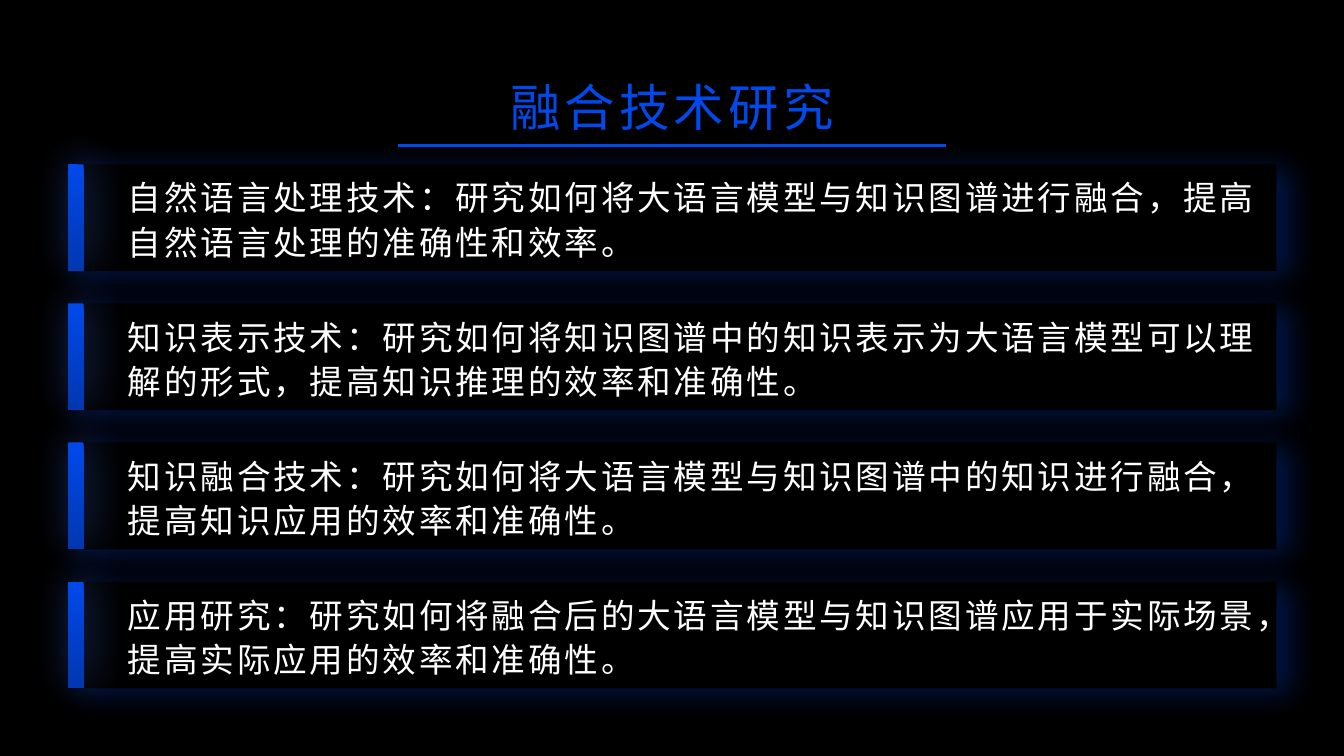
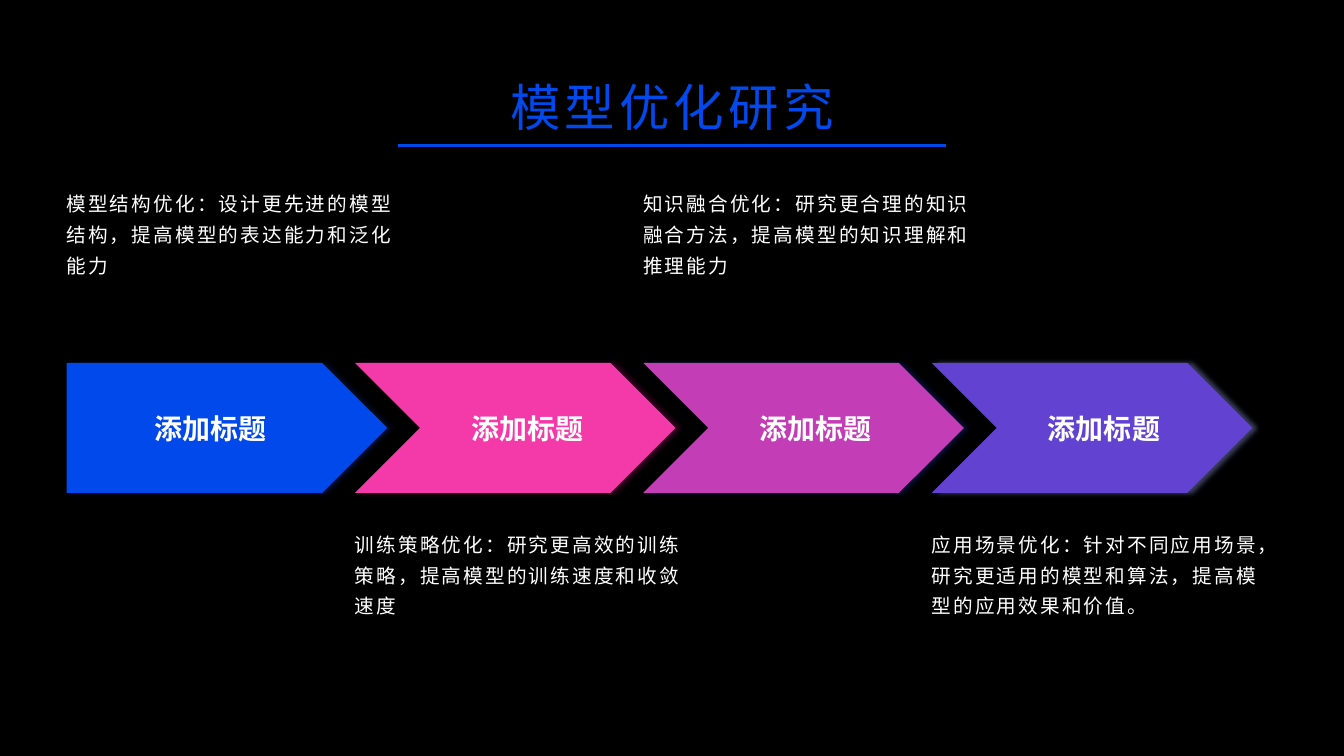
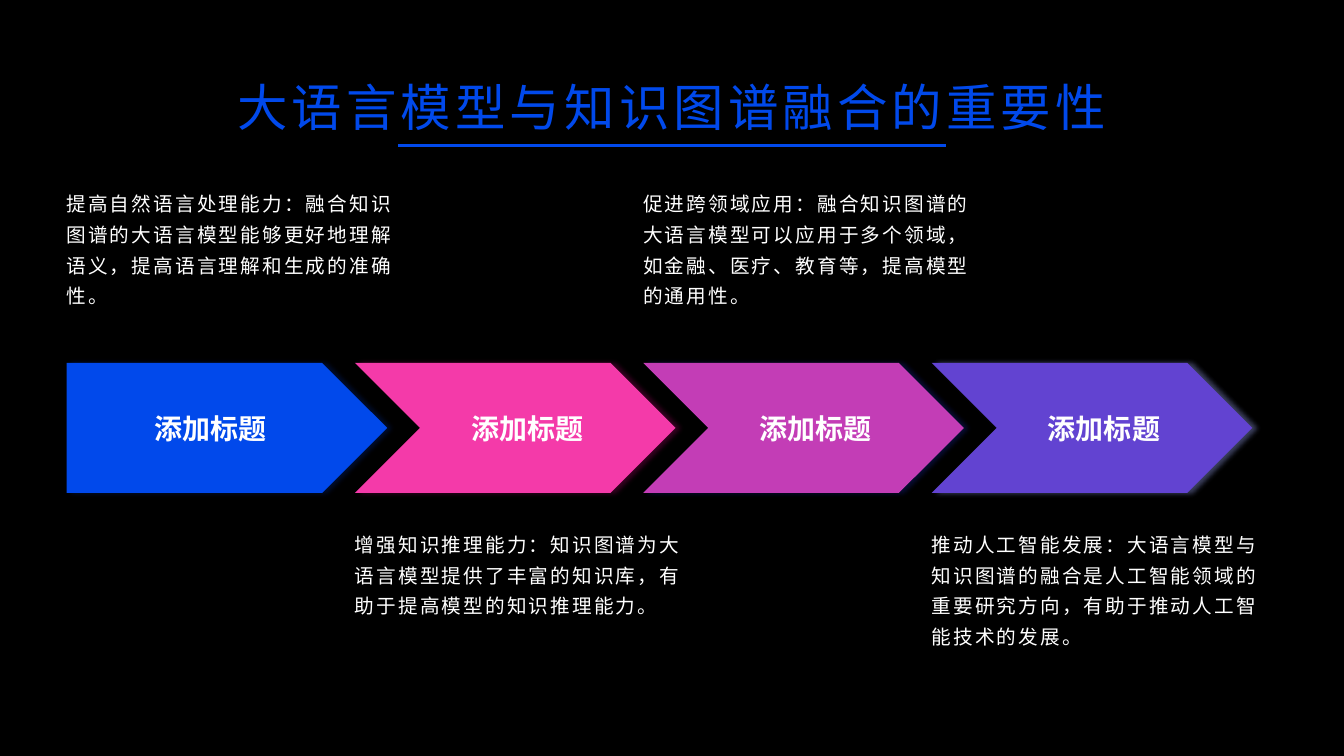
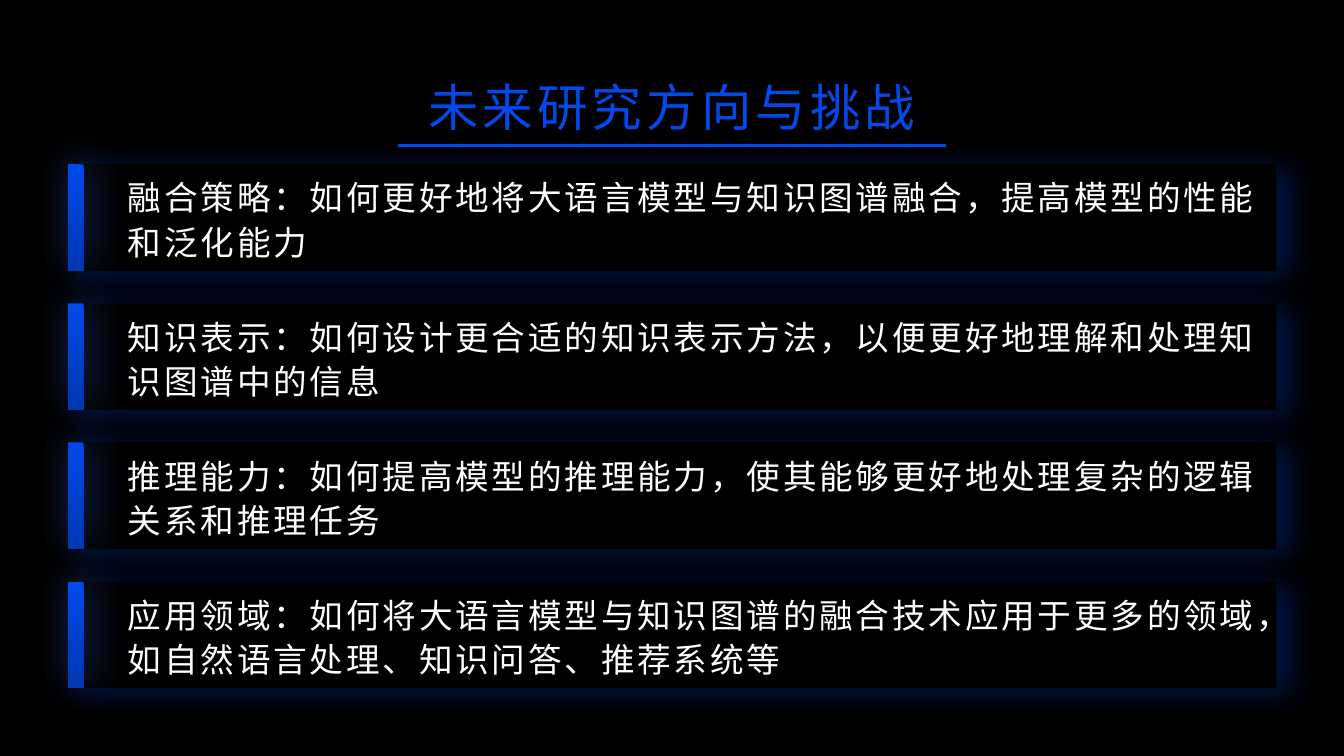
from pptx import Presentation
from pptx.dml.color import RGBColor
from pptx.enum.shapes import MSO_CONNECTOR, MSO_SHAPE
from pptx.enum.text import MSO_ANCHOR, PP_ALIGN
from pptx.oxml import parse_xml
from pptx.oxml.ns import nsdecls, qn
from pptx.util import Inches, Pt
from lxml.etree import SubElement

FONT = "Roboto"
BLACK = RGBColor(0x00, 0x00, 0x00)
WHITE = RGBColor(0xFF, 0xFF, 0xFF)
BLUE = RGBColor(0x01, 0x49, 0xEB)
DEEP_BLUE = RGBColor(0x01, 0x37, 0xB0)
GLOW_BLUE = RGBColor(0x45, 0x75, 0xF0)
PINK = RGBColor(0xF4, 0x3A, 0xA9)
MAGENTA = RGBColor(0xC3, 0x3D, 0xB6)
VIOLET = RGBColor(0x62, 0x43, 0xD1)

WIDTH, HEIGHT = Inches(13.33), Inches(7.5)
MARGIN = Inches(0.67)
TITLE_H = Inches(0.77)
RULE_Y = MARGIN + TITLE_H
RULE_W = Inches(5.43)

CARD_W, CARD_H = WIDTH - 2 * MARGIN, Inches(1.06)
CARD_TOP, CARD_PITCH = Inches(1.63), Inches(1.38)
BAR_W = Inches(0.16)
CARD_INDENT = Inches(0.5)

STEP_LEFT, STEP_PITCH = Inches(0.66), Inches(2.86)
STEP_TOP, STEP_W, STEP_H = Inches(3.6), Inches(3.18), Inches(1.29)
CAPTION_TOPS = Inches(1.79), Inches(5.17)
CAPTION_W, CAPTION_H = Inches(3.43), Inches(1.5)
STEPS = [
    (MSO_SHAPE.PENTAGON, BLUE, RGBColor(0x00, 0x24, 0x76)),
    (MSO_SHAPE.CHEVRON, PINK, RGBColor(0x8F, 0x08, 0x59)),
    (MSO_SHAPE.CHEVRON, MAGENTA, RGBColor(0x16, 0x23, 0x85)),
    (MSO_SHAPE.CHEVRON, VIOLET, RGBColor(0x98, 0xA2, 0xEE)),
]

SLIDES = [
    ("cards", "融合技术研究", [
        "自然语言处理技术：研究如何将大语言模型与知识图谱进行融合，提高自然语言处理的准确性和效率。",
        "知识表示技术：研究如何将知识图谱中的知识表示为大语言模型可以理解的形式，提高知识推理的效率和准确性。",
        "知识融合技术：研究如何将大语言模型与知识图谱中的知识进行融合，提高知识应用的效率和准确性。",
        "应用研究：研究如何将融合后的大语言模型与知识图谱应用于实际场景，提高实际应用的效率和准确性。",
    ]),
    ("steps", "模型优化研究", [
        "模型结构优化：设计更先进的模型结构，提高模型的表达能力和泛化能力",
        "训练策略优化：研究更高效的训练策略，提高模型的训练速度和收敛速度",
        "知识融合优化：研究更合理的知识融合方法，提高模型的知识理解和推理能力",
        "应用场景优化：针对不同应用场景，研究更适用的模型和算法，提高模型的应用效果和价值。",
    ]),
    ("steps", "大语言模型与知识图谱融合的重要性", [
        "提高自然语言处理能力：融合知识图谱的大语言模型能够更好地理解语义，提高语言理解和生成的准确性。",
        "增强知识推理能力：知识图谱为大语言模型提供了丰富的知识库，有助于提高模型的知识推理能力。",
        "促进跨领域应用：融合知识图谱的大语言模型可以应用于多个领域，如金融、医疗、教育等，提高模型的通用性。",
        "推动人工智能发展：大语言模型与知识图谱的融合是人工智能领域的重要研究方向，有助于推动人工智能技术的发展。",
    ]),
    ("cards", "未来研究方向与挑战", [
        "融合策略：如何更好地将大语言模型与知识图谱融合，提高模型的性能和泛化能力",
        "知识表示：如何设计更合适的知识表示方法，以便更好地理解和处理知识图谱中的信息",
        "推理能力：如何提高模型的推理能力，使其能够更好地处理复杂的逻辑关系和推理任务",
        "应用领域：如何将大语言模型与知识图谱的融合技术应用于更多的领域，如自然语言处理、知识问答、推荐系统等",
    ]),
]


def write(sp, text, size, color=WHITE, spacing=0, align=PP_ALIGN.LEFT,
          anchor=MSO_ANCHOR.MIDDLE, bold=False):
    """Set one paragraph of wrapped text and return it; spacing is in points."""
    tf = sp.text_frame
    tf.word_wrap = True
    tf.vertical_anchor = anchor
    p = tf.paragraphs[0]
    p.text = text
    p.alignment = align
    font = p.runs[0].font
    font.name, font.size, font.bold = FONT, Pt(size), bold
    font.color.rgb = color
    rPr = p.runs[0].font._element
    rPr.set("lang", "zh-CN")
    rPr.set("spc", str(int(spacing * 100)))
    SubElement(rPr, qn("a:ea")).set("typeface", FONT)
    return p


def add_glowing_shape(s, kind, box, color, shadow):
    """Add a borderless shape; shadow is colour, alpha %, blur pt, distance pt, degrees."""
    sp = s.shapes.add_shape(kind, *box)
    sp.fill.solid()
    sp.fill.fore_color.rgb = color
    sp.line.fill.background()
    sp.shadow.inherit = False
    shade, alpha, blur, dist, angle = shadow
    sp.element.spPr.find(qn("a:effectLst")).append(parse_xml(
        f'<a:outerShdw {nsdecls("a")} blurRad="{Pt(blur)}" dist="{Pt(dist)}" '
        f'dir="{angle * 60000}" algn="ctr" rotWithShape="0">'
        f'<a:srgbClr val="{shade}"><a:alpha val="{alpha * 1000}"/></a:srgbClr>'
        '</a:outerShdw>'))
    return sp


prs = Presentation()
prs.slide_width, prs.slide_height = WIDTH, HEIGHT
background = prs.slide_master.background.fill
background.solid()
background.fore_color.rgb = BLACK

for layout, title, texts in SLIDES:
    s = prs.slides.add_slide(prs.slide_layouts[6])
    rule = s.shapes.add_connector(MSO_CONNECTOR.STRAIGHT, (WIDTH - RULE_W) // 2, RULE_Y,
                                  (WIDTH + RULE_W) // 2, RULE_Y)
    rule.line.color.rgb = BLUE
    rule.line.width = Pt(2)
    SubElement(rule.element.spPr, qn("a:effectLst"))
    heading = s.shapes.add_textbox(MARGIN, MARGIN, WIDTH - 2 * MARGIN, TITLE_H)
    write(heading, title, 36, BLUE, 3, PP_ALIGN.CENTER)

    if layout == "cards":
        for row, text in enumerate(texts):
            top = CARD_TOP + row * CARD_PITCH
            add_glowing_shape(s, MSO_SHAPE.RECTANGLE, (MARGIN, top, CARD_W, CARD_H),
                              BLACK, (BLUE, 30, 22, 9, 17))
            bar = add_glowing_shape(s, MSO_SHAPE.ROUNDED_RECTANGLE, (MARGIN, top, BAR_W, CARD_H),
                                    BLUE, (GLOW_BLUE, 45, 30, 5, 315))
            bar.adjustments[0] = 0.08
            bar.fill.gradient()
            bar.fill.gradient_angle = 270
            for stop, color in zip(bar.fill.gradient_stops, (BLUE, DEEP_BLUE)):
                stop.color.rgb = color
        for row, text in enumerate(texts):
            box = s.shapes.add_textbox(MARGIN + CARD_INDENT, CARD_TOP + row * CARD_PITCH,
                                       CARD_W - CARD_INDENT, CARD_H)
            write(box, text, 24, spacing=2).line_spacing = 1.1
    else:
        for col, (text, (kind, color, shade)) in enumerate(zip(texts, STEPS)):
            left = STEP_LEFT + col * STEP_PITCH
            step = add_glowing_shape(s, kind, (left, STEP_TOP, STEP_W, STEP_H),
                                     color, (shade, 40, 4, 3, 0))
            write(step, "添加标题", 20, align=PP_ALIGN.CENTER, bold=True)
            if kind == MSO_SHAPE.CHEVRON:
                step.text_frame.margin_left = Inches(0.24)
                step.text_frame.margin_right = 0
            caption = s.shapes.add_textbox(left, CAPTION_TOPS[col % 2], CAPTION_W, CAPTION_H)
            caption.text_frame.margin_left = 0
            p = write(caption, text, 14, spacing=1.5, anchor=MSO_ANCHOR.TOP)
            p.line_spacing = 1.3
            p.space_after = Pt(10)

prs.save("out.pptx")
